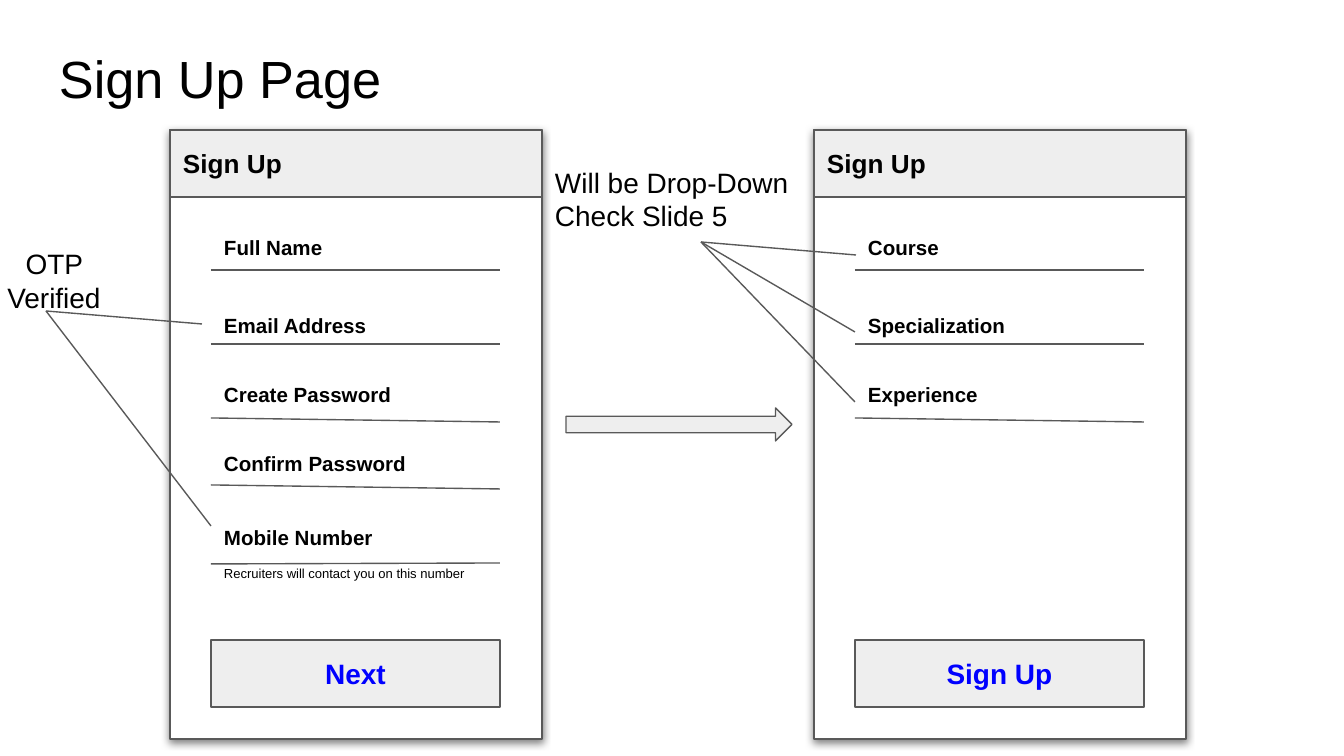
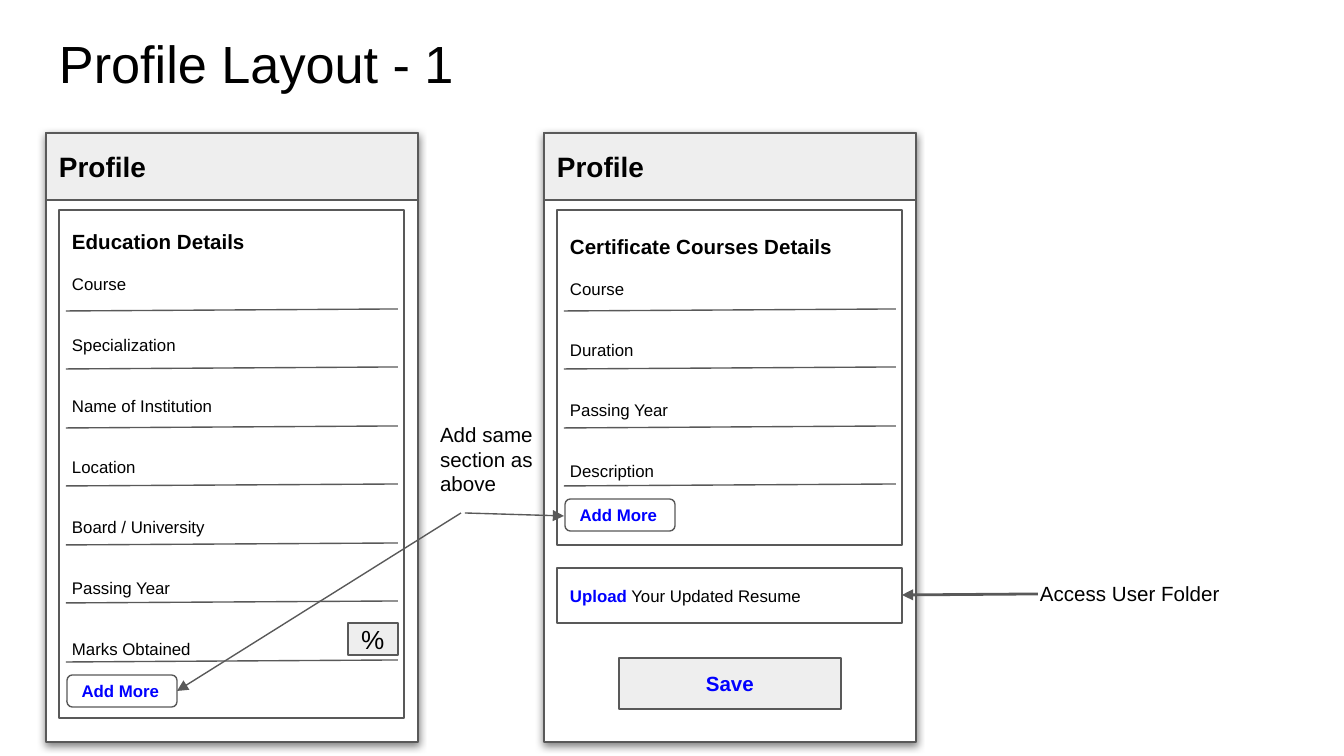
"""Builds the sign-up and profile wireframe slides."""
from lxml import etree
from pptx import Presentation
from pptx import util as u
from pptx.dml.color import RGBColor
from pptx.enum import shapes, text
from pptx.oxml import ns

EMU_PER_PX = 914400 / 134.4
FONT = "Arial"
COLORS = {"ink": "000000", "line": "595959", "panel": "EEEEEE", "paper": "FFFFFF", "action": "0000FF"}
INSET = 13
FRAME_W, FRAME_H, HEADER_H = 372, 609, 67
SHAPE = shapes.MSO_SHAPE
CENTER = text.PP_ALIGN.CENTER


def px(length):
    """Turn pixels into EMU."""
    return u.Emu(round(length * EMU_PER_PX))


def color(name):
    """Look up a named colour."""
    return RGBColor.from_string(COLORS[name])


def add_span(para, words, size, bold=False, ink="ink"):
    """Add one styled run to a paragraph."""
    span = para.add_run()
    span.text = words
    span.font.name = FONT
    span.font.size = u.Pt(size)
    span.font.bold = bold
    span.font.color.rgb = color(ink)


def set_frame(box, anchor, bottom=INSET):
    """Set wrapping, insets and anchor, and return the text frame."""
    frame = box.text_frame
    frame.word_wrap = True
    frame.margin_left = frame.margin_top = frame.margin_right = px(INSET)
    frame.margin_bottom = px(bottom)
    frame.vertical_anchor = anchor
    return frame


def add_label(page, left, top, width, height, lines, size, bold=False, align=None):
    """Add a text box with one paragraph for each line."""
    box = page.shapes.add_textbox(px(left), px(top), px(width), px(height))
    frame = set_frame(box, text.MSO_ANCHOR.TOP)
    for index, words in enumerate(lines):
        para = frame.add_paragraph() if index else frame.paragraphs[0]
        para.alignment = align
        add_span(para, words, size, bold)


def add_title(page, top, words):
    """Add the slide title."""
    add_label(page, 46, top, 1252, 85, [words], 28)


def add_box(page, left, top, width, height, fill="paper", kind=SHAPE.RECTANGLE):
    """Add an outlined shape without a shadow."""
    box = page.shapes.add_shape(kind, px(left), px(top), px(width), px(height))
    box.fill.solid()
    box.fill.fore_color.rgb = color(fill)
    box.line.color.rgb = color("line")
    box.line.width = u.Pt(0.75)
    box.shadow.inherit = False
    return box


def fill_box(box, spans, align=text.PP_ALIGN.LEFT):
    """Write one vertically centred paragraph of (words, size, bold, ink) spans."""
    para = set_frame(box, text.MSO_ANCHOR.MIDDLE).paragraphs[0]
    para.alignment = align
    for span in spans:
        add_span(para, *span)


def add_button(page, left, top, width, height, words, size):
    """Add a grey button with blue text."""
    box = add_box(page, left, top, width, height, "panel")
    fill_box(box, [(words, size, True, "action")], CENTER)


def add_line(page, start, end, width=0.75, arrow=False):
    """Add a straight line, with an arrowhead at its end if asked."""
    line = page.shapes.add_connector(shapes.MSO_CONNECTOR.STRAIGHT, *map(px, start + end))
    line.line.color.rgb = color("line")
    line.line.width = u.Pt(width)
    props = line._element.spPr
    if arrow:
        etree.SubElement(props.find(ns.qn("a:ln")), ns.qn("a:tailEnd"), type="triangle")
    etree.SubElement(props, ns.qn("a:effectLst"))


def add_screen(page, left, top, heading, size):
    """Add a phone screen with a soft shadow and a header band."""
    screen = add_box(page, left, top, FRAME_W, FRAME_H)
    effects = screen._element.spPr.find(ns.qn("a:effectLst"))
    shadow = etree.SubElement(effects, ns.qn("a:outerShdw"), blurRad="57150", dist="19050",
                              dir="5400000", algn="bl", rotWithShape="0")
    tint = etree.SubElement(shadow, ns.qn("a:srgbClr"), val=COLORS["ink"])
    etree.SubElement(tint, ns.qn("a:alpha"), val="50000")
    header = add_box(page, left, top, FRAME_W, HEADER_H, "panel")
    fill_box(header, [(heading, size, True, "ink")])


def add_form(page, left, fields, button):
    """Add a sign-up screen with underlined fields and a button."""
    add_screen(page, left, 130, "Sign Up", 14)
    start, end = left + 41, left + 330
    for words, top, line_start, line_end in fields:
        add_label(page, start, top, 289, 67, [words], 11, True)
        add_line(page, (start, line_start), (end, line_end))
    add_button(page, start, 640, 289, 67, button, 15)


def add_card(page, left, height, heading, fields):
    """Add a profile screen with a card of ruled fields and an add button."""
    add_screen(page, left, 133, "Profile", 15)
    card = add_box(page, left + 13, 210, 345, height)
    frame = set_frame(card, text.MSO_ANCHOR.MIDDLE, 53)
    frame.paragraphs[0].alignment = text.PP_ALIGN.LEFT
    add_span(frame.paragraphs[0], heading, 11, True)
    for index, words in enumerate(fields):
        para = frame.add_paragraph()
        para.alignment = text.PP_ALIGN.LEFT
        para.space_before = u.Pt(21.7 if index else 10.8)
        add_span(para, words, 9)
        rule = 311 + index * 351 // 6
        add_line(page, (left + 20, rule), (left + 352, rule - 2))
    more = add_box(page, left + 21, rule + 13, 110, 32, kind=SHAPE.ROUNDED_RECTANGLE)
    fill_box(more, [("Add More", 9, True, "action")])


def build_sign_up(page):
    """Draw the sign-up slide."""
    add_title(page, 33, "Sign Up Page")
    add_form(page, 170, [("Full Name", 223, 270, 270), ("Email Address", 301, 344, 344),
                         ("Create Password", 370, 418, 422), ("Confirm Password", 439, 485, 489),
                         ("Mobile Number", 513, 564, 563)], "Next")
    add_label(page, 211, 558, 289, 47, ["Recruiters will contact you on this number"], 7)
    add_form(page, 814, [("Course", 223, 270, 270), ("Specialization", 301, 344, 344),
                         ("Experience", 370, 418, 422)], "Sign Up")
    add_box(page, 566, 408, 226, 33, "panel", SHAPE.RIGHT_ARROW)
    for field in ((855, 402), (856, 255), (855, 332)):
        add_line(page, field, (701, 242))
    add_label(page, 542, 152, 271, 90, ["Will be Drop-Down", "Check Slide 5"], 15)
    for field in ((211, 526), (202, 324)):
        add_line(page, field, (46, 311))
    add_label(page, -9, 234, 126, 90, ["OTP Verified"], 15, align=CENTER)


def build_profile(page):
    """Draw the profile slide."""
    add_title(page, 18, "Profile Layout - 1")
    add_card(page, 46, 508, "Education Details",
             ["Course", "Specialization", "Name of Institution", "Location",
              "Board / University", "Passing Year", "Marks Obtained"])
    percent = add_box(page, 348, 623, 50, 32, "panel")
    fill_box(percent, [("%", 14, False, "ink")])
    add_card(page, 544, 335, "Certificate Courses Details",
             ["Course", "Duration", "Passing Year", "Description"])
    upload = add_box(page, 557, 568, 345, 55)
    fill_box(upload, [("Upload", 9, True, "action"), (" Your Updated Resume", 9, False, "ink")])
    add_button(page, 619, 658, 222, 51, "Save", 11)
    add_line(page, (461, 513), (177, 691), arrow=True)
    add_line(page, (465, 513), (564, 516), arrow=True)
    add_label(page, 427, 409, 157, 91, ["Add same section as above"], 11)
    add_line(page, (1038, 594), (902, 595), 1.5, True)
    add_label(page, 1027, 569, 222, 55, ["Access User Folder"], 11)


def main():
    """Build and save the deck."""
    deck = Presentation()
    deck.slide_width, deck.slide_height = px(1344), px(756)
    for build in (build_sign_up, build_profile):
        build(deck.slides.add_slide(deck.slide_layouts[6]))
    deck.save("out.pptx")


if __name__ == "__main__":
    main()
